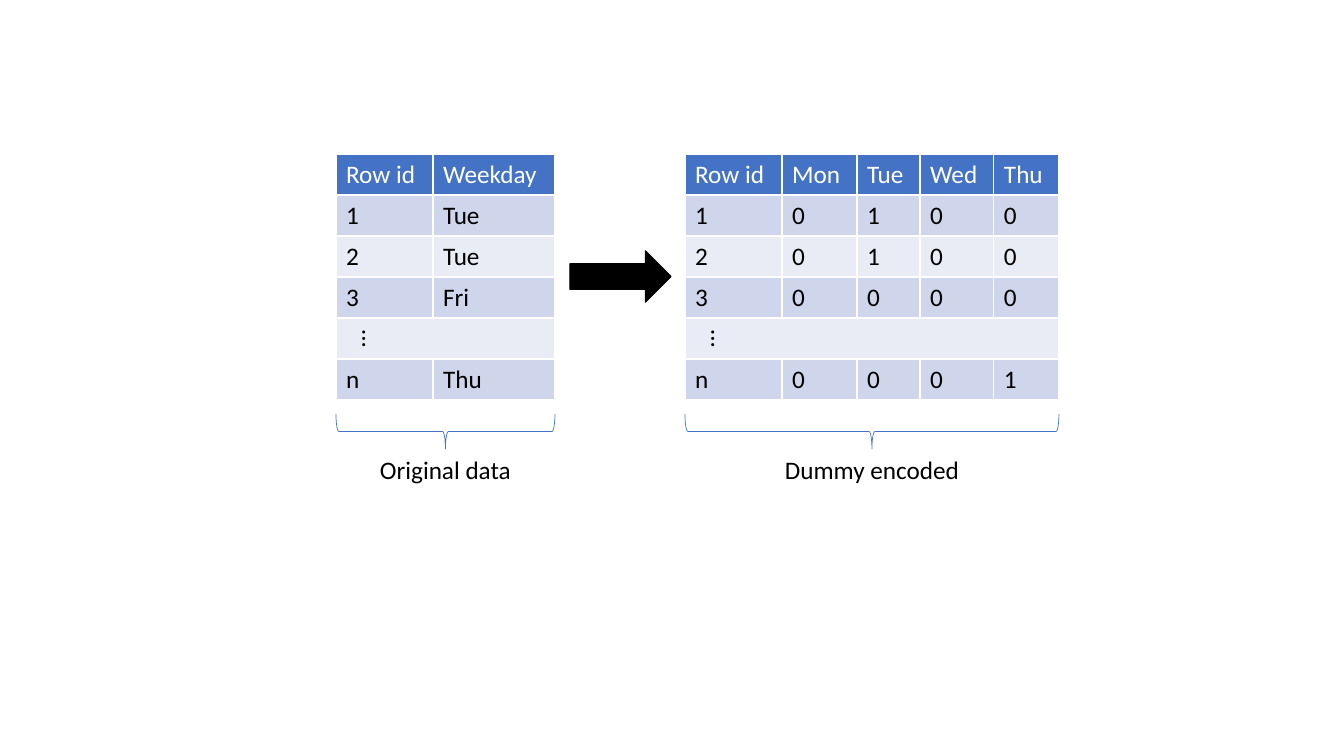
from pptx import Presentation
from pptx import util as u
from pptx.dml.color import RGBColor
from pptx.enum import shapes, text

PX = 914400 / 100.8
BLUE, BLACK, WHITE = "4472C4", "000000", "FFFFFF"
BANDS = ["E9EBF5", "CFD5EA"]
TOP, ROW, GAP = 154, 41, 14
BRACE, LABEL = 35, 219


def px(*vals):
    return [u.Emu(round(v * PX)) for v in vals]


def rgb(code):
    return RGBColor.from_string(code)


deck = Presentation()
deck.slide_width, deck.slide_height = px(1344, 756)
slide = deck.slides.add_slide(deck.slide_layouts[6])

groups = [
    ("Original data", 336, [97, 122], [
        ["Row id", "Weekday"],
        ["1", "Tue"],
        ["2", "Tue"],
        ["3", "Fri"],
        ["…"],
        ["n", "Thu"],
    ]),
    ("Dummy encoded", 685, [97, 75, 63, 74, 65], [
        ["Row id", "Mon", "Tue", "Wed", "Thu"],
        ["1", "0", "1", "0", "0"],
        ["2", "0", "1", "0", "0"],
        ["3", "0", "0", "0", "0"],
        ["…"],
        ["n", "0", "0", "0", "1"],
    ]),
]

for name, left, cols, rows in groups:
    wide, high = sum(cols), ROW * len(rows)
    mid = left + wide / 2
    grid = slide.shapes.add_table(
        len(rows), len(cols), *px(left, TOP, wide, high)).table
    for col, size in zip(grid.columns, px(*cols)):
        col.width = size
    for r, row in enumerate(rows):
        grid.rows[r].height = px(ROW)[0]
        for c in range(len(cols)):
            cell = grid.cell(r, c)
            cell.fill.solid()
            cell.fill.fore_color.rgb = rgb(BANDS[r % 2] if r else BLUE)
        for c, word in enumerate(row):
            cell = grid.cell(r, c)
            cell.text_frame.text = word
            font = cell.text_frame.paragraphs[0].runs[0].font
            font.name, font.size, font.bold = "Calibri", u.Pt(18), False
            font.color.rgb = rgb(BLACK if r else WHITE)
        if len(row) == 1:
            cell = grid.cell(r, 0)
            cell.merge(grid.cell(r, len(cols) - 1))
            cell.vertical_anchor = text.MSO_ANCHOR.MIDDLE
            cell.text_frame.paragraphs[0].alignment = text.PP_ALIGN.CENTER
            cell._tc.get_or_add_tcPr().set("vert", "vert270")

    base = TOP + high + GAP
    brace = slide.shapes.add_shape(
        shapes.MSO_SHAPE.LEFT_BRACE,
        *px(mid - BRACE / 2, base + BRACE / 2 - wide / 2, BRACE, wide))
    brace.rotation = 270
    brace.shadow.inherit = False
    brace.fill.background()
    brace.line.color.rgb = rgb(BLUE)
    brace.line.width = u.Pt(0.5)

    label = slide.shapes.add_textbox(
        *px(mid - LABEL / 2, base + BRACE, LABEL, 40))
    label.text_frame.word_wrap = True
    label.text_frame.text = name
    para = label.text_frame.paragraphs[0]
    para.alignment = text.PP_ALIGN.CENTER
    font = para.runs[0].font
    font.name, font.size = "Calibri", u.Pt(18)
    font.color.rgb = rgb(BLACK)

arrow = slide.shapes.add_shape(
    shapes.MSO_SHAPE.RIGHT_ARROW, *px(570, 251, 101, 51))
arrow.shadow.inherit = False
arrow.fill.solid()
arrow.fill.fore_color.rgb = rgb(BLACK)
arrow.line.color.rgb = rgb(BLACK)
arrow.line.width = u.Pt(1)

deck.save("out.pptx")
